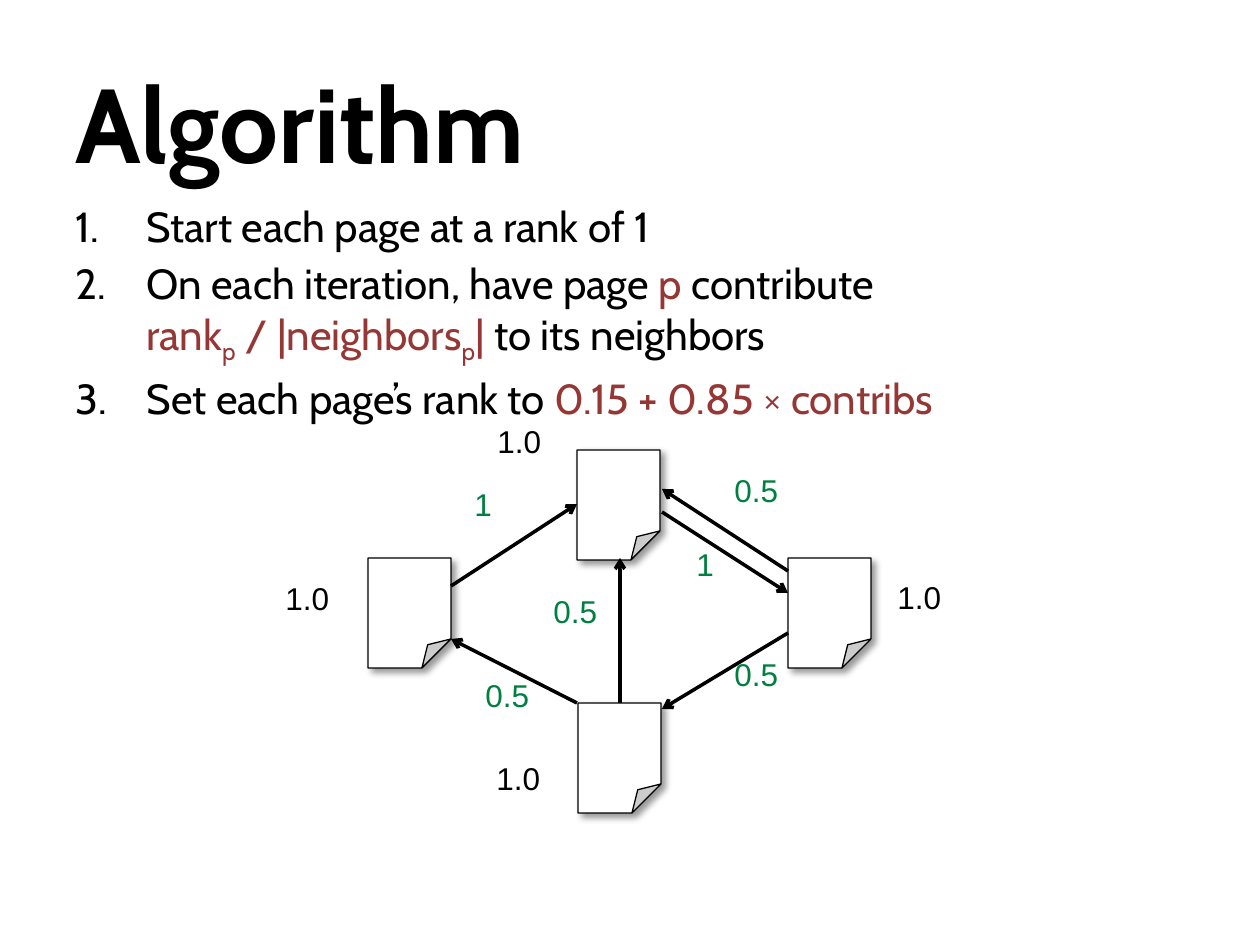
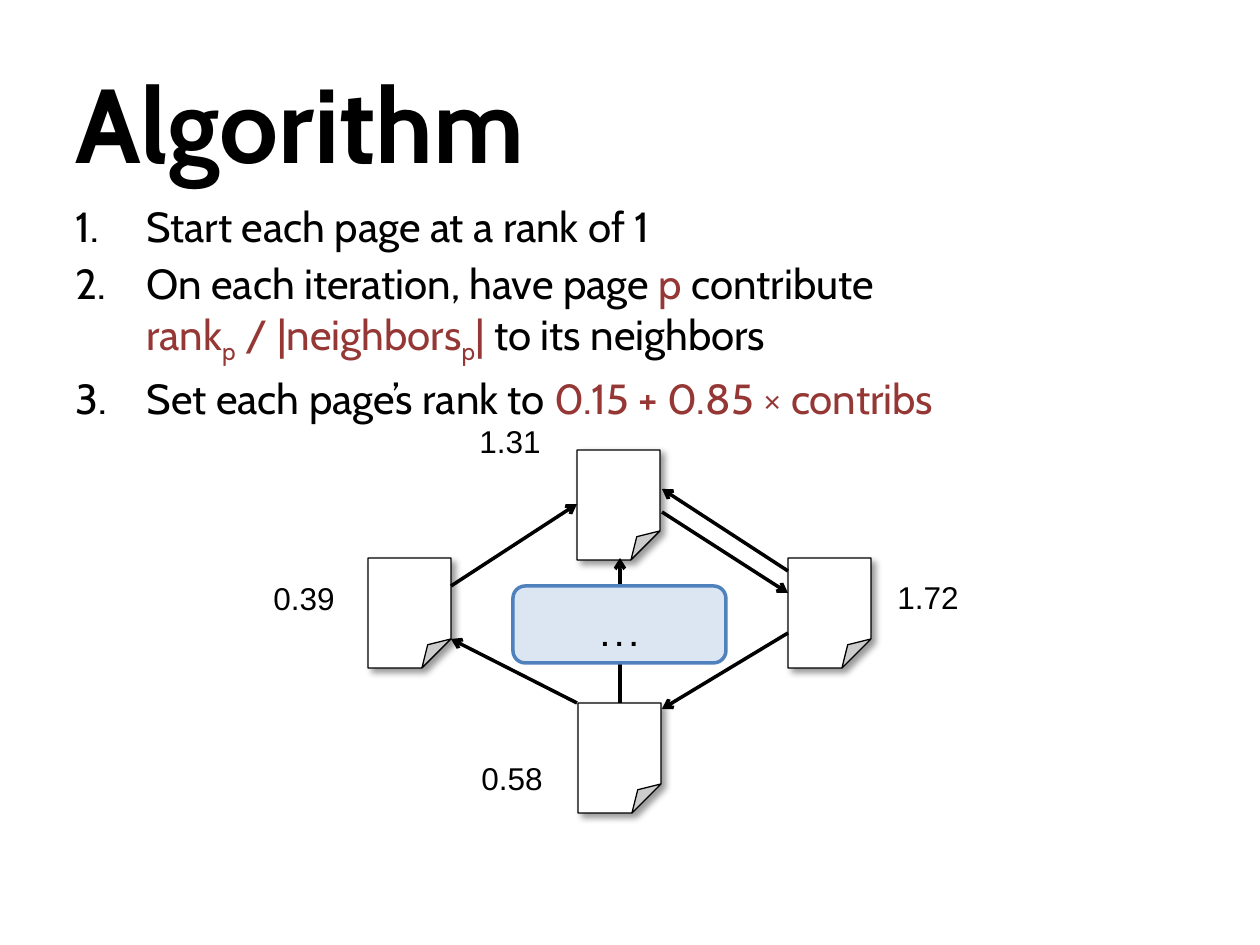
import pptx
import pptx.dml.color
import pptx.enum.dml
import pptx.enum.shapes
import pptx.enum.text
import pptx.oxml
import pptx.oxml.ns
import pptx.util

PX_PER_INCH = 126
BLACK = pptx.dml.color.RGBColor(0x00, 0x00, 0x00)
WHITE = pptx.dml.color.RGBColor(0xFF, 0xFF, 0xFF)
MAROON = pptx.dml.color.RGBColor(0x95, 0x37, 0x35)
GREEN = pptx.dml.color.RGBColor(0x00, 0x80, 0x40)
PALE_BLUE = pptx.dml.color.RGBColor(0xDC, 0xE6, 0xF2)
BLUE = pptx.dml.color.RGBColor(0x4F, 0x81, 0xBD)
HEADING_FONT, LABEL_FONT = "Cabin", "Arial"

TITLE_BOX = (63, 42, 1134, 158)
STEPS_BOX = (63, 194, 1134, 276)
GRAPH_ORIGIN = (260, 416)
STEP_INDENT = 71
SUBSCRIPT = "-25000"

# Each step is a list of (text, colour, is subscript).
STEPS = [
    [("Start each page at a rank of 1", BLACK, False)],
    [("On each iteration, have page ", BLACK, False),
     ("p", MAROON, False),
     (" contribute\n", BLACK, False),
     ("rank", MAROON, False),
     ("p", MAROON, True),
     (" / |neighbors", MAROON, False),
     ("p", MAROON, True),
     ("|", MAROON, False),
     (" to its neighbors", BLACK, False)],
    [("Set each page’s rank to ", BLACK, False),
     ("0.15 + 0.85 × contribs", MAROON, False)],
]

# Positions in the graph are relative to GRAPH_ORIGIN.
PAGE_SIZE = (83, 110)
PAGES = [(108, 142), (317, 34), (528, 142), (318, 287)]
LINKS = [  # tail x, tail y, arrowhead x, arrowhead y
    (317, 287, 191, 223),
    (360, 287, 360, 142),
    (191, 170, 317, 88),
    (528, 155, 402, 73),
    (402, 96, 528, 177),
    (528, 217, 402, 293),
]
ELLIPSIS_BOX = (253, 170, 213, 77)
INITIAL_RANKS = [("1.0", 13, 157), ("1.0", 625, 156),
                 ("1.0", 225, 0), ("1.0", 224, 337)]
FINAL_RANKS = [("0.39", 1, 157), ("1.72", 625, 156),
               ("1.31", 207, 0), ("0.58", 209, 337)]
CONTRIBUTIONS = [("1", 202, 63), ("0.5", 213, 254), ("0.5", 281, 170),
                 ("0.5", 462, 49), ("1", 424, 123), ("0.5", 462, 233)]


def px(length):
    return pptx.util.Emu(round(length * 914400 / PX_PER_INCH))


def in_graph(left, top):
    return px(GRAPH_ORIGIN[0] + left), px(GRAPH_ORIGIN[1] + top)


def append_xml(parent, markup):
    """Append one drawing element, written without its namespace prefix."""
    namespace = pptx.oxml.ns.nsdecls("a").replace("xmlns:a", "xmlns")
    name, separator, rest = markup.partition(" ")
    parent.append(pptx.oxml.parse_xml(f"{name} {namespace} {rest}"))


def format_font(font, name, size, color, bold=False):
    font.name = name
    font.size = pptx.util.Pt(size)
    font.bold = bold
    font.color.rgb = color


def place(shape, box):
    shape.left, shape.top, shape.width, shape.height = map(px, box)
    shape.text_frame.auto_size = pptx.enum.text.MSO_AUTO_SIZE.NONE


def paint(shape, fill, line, line_width):
    shape.fill.solid()
    shape.fill.fore_color.rgb = fill
    shape.line.color.rgb = line
    shape.line.width = pptx.util.Pt(line_width)
    shape.shadow.inherit = False


def fill_title(title):
    place(title, TITLE_BOX)
    title.text_frame.text = "Algorithm"
    title.text_frame.vertical_anchor = pptx.enum.text.MSO_ANCHOR.MIDDLE
    paragraph = title.text_frame.paragraphs[0]
    paragraph.alignment = pptx.enum.text.PP_ALIGN.LEFT
    format_font(paragraph.runs[0].font, HEADING_FONT, 60, BLACK, bold=True)


def add_step_run(paragraph, text, color, is_subscript):
    run = paragraph.add_run()
    run.text = text.rstrip("\n")
    format_font(run.font, HEADING_FONT, 24, color)
    if is_subscript:
        run.font._element.set("baseline", SUBSCRIPT)
    if text.endswith("\n"):
        paragraph.add_line_break()


def fill_steps(body):
    place(body, STEPS_BOX)
    frame = body.text_frame
    for index, step in enumerate(STEPS):
        paragraph = frame.add_paragraph() if index else frame.paragraphs[0]
        paragraph.space_before = pptx.util.Pt(4 if index else 20)
        properties = paragraph._p.get_or_add_pPr()
        properties.set("marL", str(px(STEP_INDENT)))
        properties.set("indent", str(-px(STEP_INDENT)))
        append_xml(properties, f'<buFont typeface="{HEADING_FONT}"/>')
        append_xml(properties, '<buAutoNum type="arabicPeriod"/>')
        for part in step:
            add_step_run(paragraph, *part)


def add_page(slide, left, top):
    page = slide.shapes.add_shape(
        pptx.enum.shapes.MSO_SHAPE.FOLDED_CORNER,
        *in_graph(left, top), *map(px, PAGE_SIZE))
    paint(page, WHITE, BLACK, 0.75)
    properties = page._element.spPr
    geometry = properties.find(pptx.oxml.ns.qn("a:prstGeom"))
    adjustments = geometry.find(pptx.oxml.ns.qn("a:avLst"))
    append_xml(adjustments, '<gd name="adj" fmla="val 35000"/>')
    effects = properties.find(pptx.oxml.ns.qn("a:effectLst"))
    append_xml(effects,
               '<outerShdw blurRad="50800" dist="38100" dir="2700000">'
               '<srgbClr val="000000"><alpha val="40000"/></srgbClr>'
               '</outerShdw>')


def add_link(slide, tail_x, tail_y, head_x, head_y):
    link = slide.shapes.add_connector(
        pptx.enum.shapes.MSO_CONNECTOR.STRAIGHT,
        *in_graph(tail_x, tail_y), *in_graph(head_x, head_y))
    link.line.color.rgb = BLACK
    link.line.width = pptx.util.Pt(2)
    append_xml(link.line._get_or_add_ln(), '<tailEnd type="arrow"/>')
    append_xml(link._element.spPr, "<effectLst />")


def add_number(slide, text, left, top, color):
    """Add a label as wide as its digits, point and side insets."""
    points = text.count(".")
    width = 25 + 18 * (len(text) - points) + 8 * points
    label = slide.shapes.add_textbox(*in_graph(left, top), px(width), px(50))
    frame = label.text_frame
    frame.text = text
    frame.word_wrap = False
    frame.auto_size = pptx.enum.text.MSO_AUTO_SIZE.SHAPE_TO_FIT_TEXT
    format_font(frame.paragraphs[0].runs[0].font, LABEL_FONT, 18, color)


def add_ellipsis(slide):
    left, top, width, height = ELLIPSIS_BOX
    panel = slide.shapes.add_shape(
        pptx.enum.shapes.MSO_SHAPE.ROUNDED_RECTANGLE,
        *in_graph(left, top), px(width), px(height))
    panel.adjustments[0] = 0.16
    paint(panel, PALE_BLUE, BLUE, 2)
    frame = panel.text_frame
    frame.text = ". . ."
    frame.margin_top = 0
    frame.vertical_anchor = pptx.enum.text.MSO_ANCHOR.BOTTOM
    paragraph = frame.paragraphs[0]
    paragraph.alignment = pptx.enum.text.PP_ALIGN.CENTER
    format_font(paragraph.runs[0].font, HEADING_FONT, 18, BLACK, bold=True)


def add_graph(slide, ranks, contributions):
    for page in PAGES:
        add_page(slide, *page)
    for link in LINKS:
        add_link(slide, *link)
    for rank in ranks:
        add_number(slide, *rank, BLACK)
    for contribution in contributions:
        add_number(slide, *contribution, GREEN)


def add_algorithm_slide(presentation, ranks, contributions=()):
    slide = presentation.slides.add_slide(presentation.slide_layouts[1])
    fill_title(slide.shapes.title)
    fill_steps(slide.placeholders[1])
    add_graph(slide, ranks, contributions)
    return slide


def main():
    presentation = pptx.Presentation()
    presentation.slide_width = px(1260)
    presentation.slide_height = px(945)
    add_algorithm_slide(presentation, INITIAL_RANKS, CONTRIBUTIONS)
    final_slide = add_algorithm_slide(presentation, FINAL_RANKS)
    add_ellipsis(final_slide)
    presentation.save("out.pptx")


if __name__ == "__main__":
    main()
